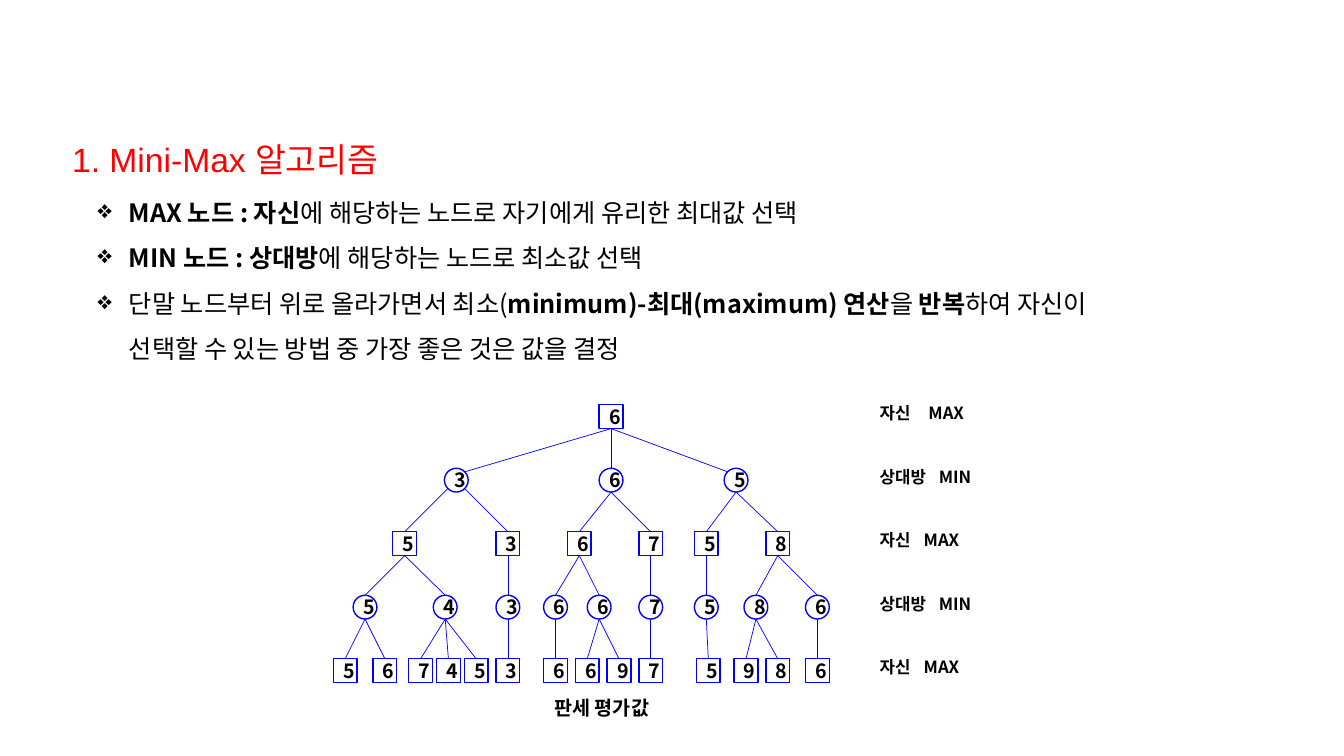
from collections import namedtuple

from lxml.etree import SubElement
from pptx import Presentation
from pptx.dml.color import RGBColor
from pptx.enum.shapes import MSO_CONNECTOR, MSO_SHAPE
from pptx.enum.text import MSO_ANCHOR, MSO_AUTO_SIZE, PP_ALIGN
from pptx.oxml.ns import qn
from pptx.util import Cm, Pt

Node = namedtuple("Node", "value x children slanted", defaults=((), False))

TOP = 10.2        # top of the root, in cm like every length below
ROW_STEP = 1.6
SIZE = 0.6
RADIUS = SIZE / 2
SLANT = 0.21      # centre of a circle to its 45 degree point, along each axis

# Each node has its value, its centre and its children.
# The edges below a slanted node leave it at 45 degrees.
TREE = Node(6, 15.4, (
    Node(3, 11.5, (
        Node(5, 10.2, (
            Node(5, 9.2, (Node(5, 8.7), Node(6, 9.7))),
            Node(4, 11.22, (Node(7, 10.6), Node(4, 11.3), Node(5, 12))))),
        Node(3, 12.8, (Node(3, 12.8, (Node(3, 12.8),)),))), True),
    Node(6, 15.4, (
        Node(6, 14.6, (
            Node(6, 14, (Node(6, 14),)),
            Node(6, 15.1, (Node(6, 14.8), Node(9, 15.6))))),
        Node(7, 16.4, (Node(7, 16.4, (Node(7, 16.4),)),)))),
    Node(5, 18.55, (
        Node(5, 17.8, (Node(5, 17.8, (Node(5, 17.85),)),)),
        Node(8, 19.6, (
            Node(8, 19.05, (Node(9, 18.8), Node(8, 19.6))),
            Node(6, 20.6, (Node(6, 20.6),)))))),
))

# Player, kind of node, and where the second word starts
LEVELS = [
    ("자신", "MAX", 1.23),
    ("상대방", "MIN", 1.49),
    ("자신", "MAX", 1.11),
    ("상대방", "MIN", 1.49),
    ("자신", "MAX", 1.11),
]

# Paragraphs of (text, bold) spans
RULES = [
    [("MAX 노드 : 자신", True),
     ("에 해당하는 노드로 자기에게 유리한 최대값 선택", False)],
    [("MIN 노드 : 상대방", True),
     ("에 해당하는 노드로 최소값 선택", False)],
    [("단말 노드부터 위로 올라가면서 최소(", False),
     ("minimum)-최대(maximum) 연산", True),
     ("을 ", False),
     ("반복", True),
     ("하여 자신이 선택할 수 있는 방법 중 가장 좋은 것은 값을 결정", False)],
]


def color(hex_string):
    return RGBColor.from_string(hex_string)


class Slide:
    FONT = "Noto Sans CJK KR"
    TITLE_FONT = "Arial"
    BLACK = "000000"
    RED = "FF0000"
    BLUE = "0000FF"

    def __init__(self, page):
        self.page = page

    def span(self, para, text, size, bold=True, font=FONT, ink=BLACK):
        run = para.add_run()
        run.text = text
        run.font.size = Pt(size)
        run.font.bold = bold
        run.font.name = font
        run.font.color.rgb = color(ink)
        SubElement(run.font._element, qn("a:ea"), typeface=self.FONT)

    def text_frame(self, left, top, width, height, wrap=False):
        box = self.page.shapes.add_textbox(Cm(left), Cm(top), Cm(width), Cm(height))
        box.text_frame.word_wrap = wrap
        box.text_frame.auto_size = MSO_AUTO_SIZE.SHAPE_TO_FIT_TEXT
        return box.text_frame

    def title(self, text):
        para = self.text_frame(1.57, 2.87, 8.86, 1.6).paragraphs[0]
        para.line_spacing = 1.5
        self.span(para, text, 24, False, self.TITLE_FONT, self.RED)

    def bullets(self, items):
        frame = self.text_frame(0.94, 4.47, 28.4, 4.72, wrap=True)
        for index, spans in enumerate(items):
            para = frame.add_paragraph() if index else frame.paragraphs[0]
            para.level = 1
            para.line_spacing = 1.5
            properties = para._p.get_or_add_pPr()
            properties.set("marL", str(Cm(2.06)))
            properties.set("indent", str(Cm(-0.79)))
            SubElement(properties, qn("a:buChar"), char="❖")
            for text, bold in spans:
                self.span(para, text, 18, bold)

    def level_label(self, row, player, kind, tab):
        top = TOP - 0.17 + row * ROW_STEP
        para = self.text_frame(21.92, top, 3, 0.76, wrap=True).paragraphs[0]
        tabs = SubElement(para._p.get_or_add_pPr(), qn("a:tabLst"))
        SubElement(tabs, qn("a:tab"), pos=str(Cm(tab)), algn="l")
        self.span(para, f"{player}\t{kind}", 12)

    def caption(self, text):
        para = self.text_frame(13.72, 17.4, 3.18, 0.86).paragraphs[0]
        self.span(para, text, 14)

    def node(self, node, row):
        """Draw a square on MAX rows and a circle on MIN rows."""
        kind = MSO_SHAPE.OVAL if row % 2 else MSO_SHAPE.RECTANGLE
        shape = self.page.shapes.add_shape(
            kind, Cm(node.x - RADIUS), Cm(TOP + row * ROW_STEP), Cm(SIZE), Cm(SIZE))
        shape.shadow.inherit = False
        shape.fill.background()
        shape.line.color.rgb = color(self.BLUE)
        shape.line.width = Pt(1)
        shape.text_frame.vertical_anchor = MSO_ANCHOR.MIDDLE
        para = shape.text_frame.paragraphs[0]
        para.alignment = PP_ALIGN.CENTER
        self.span(para, str(node.value), 14)

    def edge(self, parent, child, row):
        """Join a parent on the given row to its child on the next one."""
        side = (child.x > parent.x) - (child.x < parent.x)
        leave = side if parent.slanted else 0
        enter = -side if row == 0 else 0
        start_y = TOP + row * ROW_STEP + RADIUS + (SLANT if leave else RADIUS)
        end_y = TOP + (row + 1) * ROW_STEP + RADIUS - (SLANT if enter else RADIUS)
        line = self.page.shapes.add_connector(
            MSO_CONNECTOR.STRAIGHT,
            Cm(parent.x + leave * SLANT), Cm(start_y),
            Cm(child.x + enter * SLANT), Cm(end_y))
        line.line.color.rgb = color(self.BLUE)
        line.line.width = Pt(0.5)
        SubElement(line._element.spPr, qn("a:effectLst"))

    def tree(self, node, row=0):
        self.node(node, row)
        for child in node.children:
            self.edge(node, child, row)
            self.tree(child, row + 1)


def main():
    deck = Presentation()
    deck.slide_width = Cm(33.87)
    deck.slide_height = Cm(19.05)
    slide = Slide(deck.slides.add_slide(deck.slide_layouts[6]))
    slide.title("1. Mini-Max 알고리즘")
    slide.bullets(RULES)
    for row, (player, kind, tab) in enumerate(LEVELS):
        slide.level_label(row, player, kind, tab)
    slide.tree(TREE)
    slide.caption("판세 평가값")
    deck.save("out.pptx")


if __name__ == "__main__":
    main()
